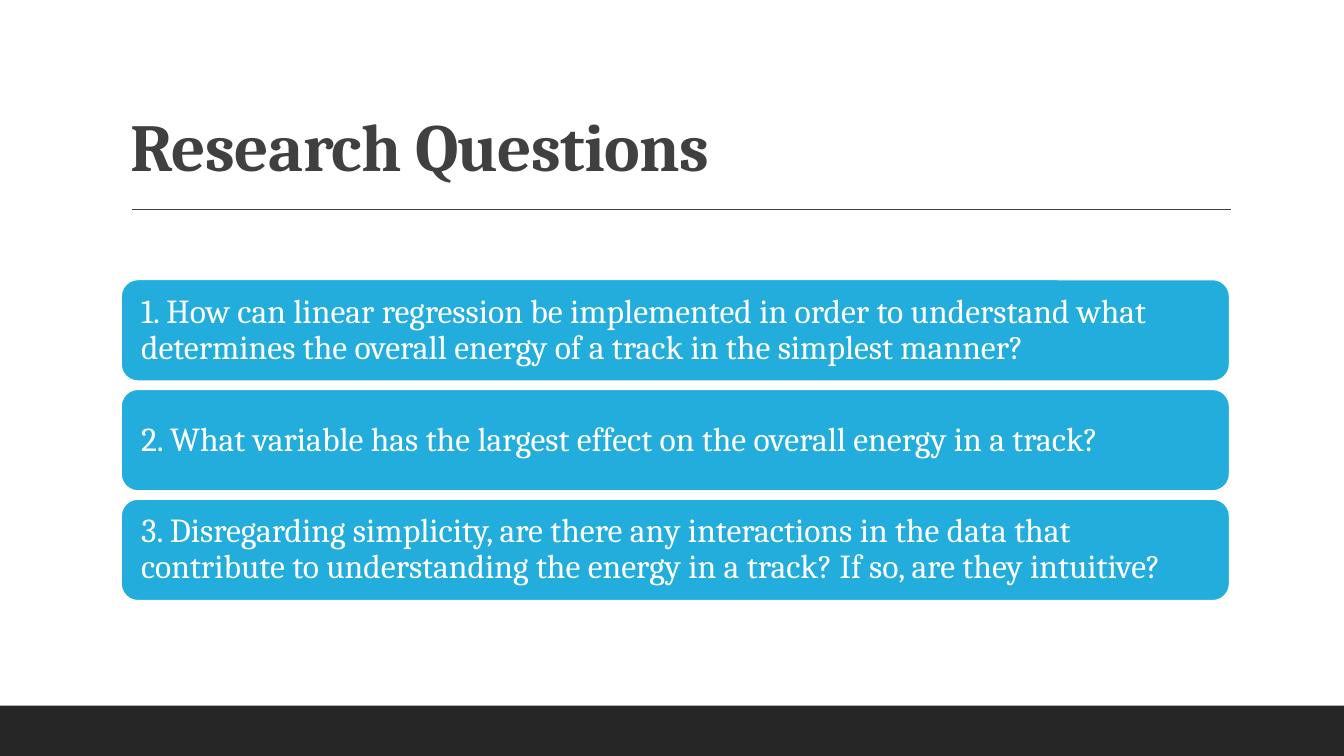
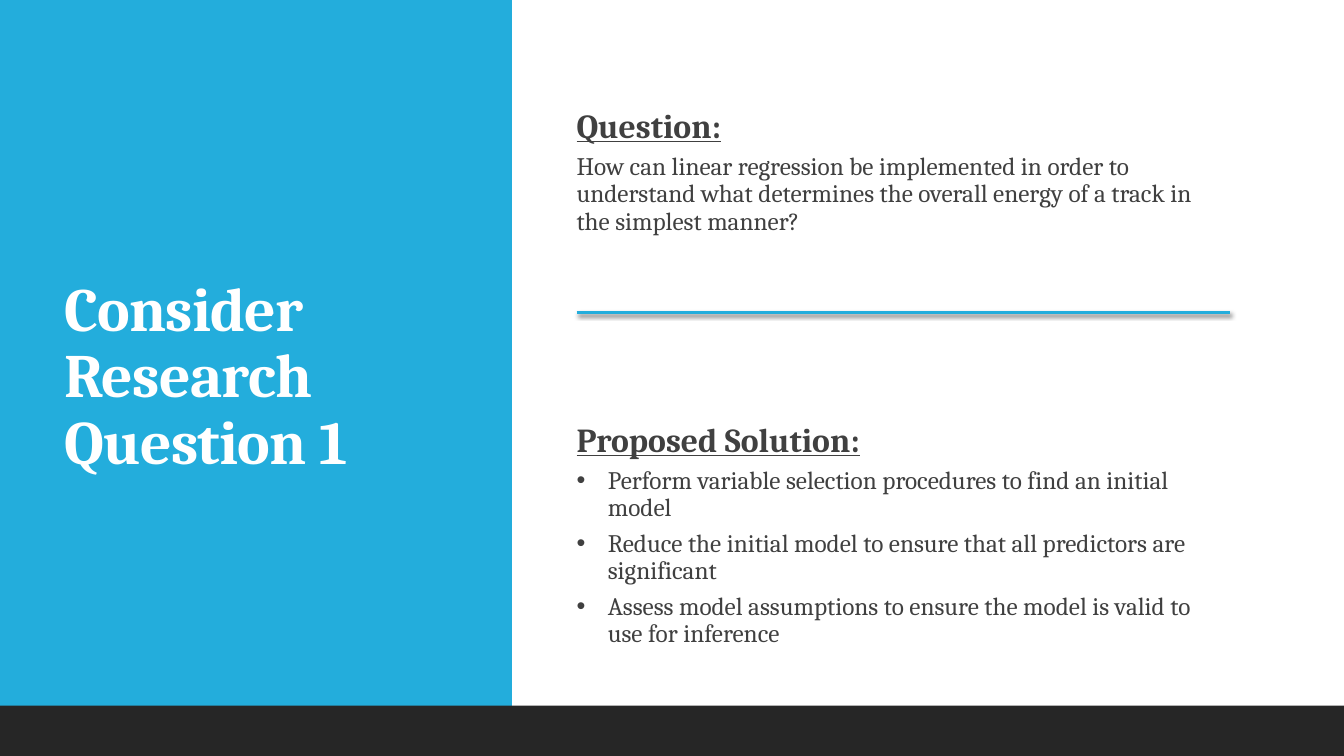
import pptx
import pptx.util
import pptx.dml.color
import pptx.enum.shapes
import pptx.enum.text
import pptx.oxml
import pptx.oxml.ns

Cm = pptx.util.Cm
Pt = pptx.util.Pt
SHAPE = pptx.enum.shapes.MSO_SHAPE
ANCHOR = pptx.enum.text.MSO_ANCHOR
ALIGN = pptx.enum.text.PP_ALIGN

COLORS = {"blue": "23ADDC", "dark": "262626", "text": "404040", "white": "FFFFFF"}
FONT = "Cambria"
WIDE, HIGH = 33.87, 19.05
BAND = 1.27
INDENT = 0.79

FIRST = ("How can linear regression be implemented in order to understand what "
         "determines the overall energy of a track in the simplest manner?")
ASKED = [
    FIRST,
    "What variable has the largest effect on the overall energy in a track?",
    "Disregarding simplicity, are there any interactions in the data that "
    "contribute to understanding the energy in a track? If so, are they intuitive?",
]
STEPS = [
    "Perform variable selection procedures to find an initial model",
    "Reduce the initial model to ensure that all predictors are significant",
    "Assess model assumptions to ensure the model is valid to use for inference",
]


def color(name):
    return pptx.dml.color.RGBColor.from_string(COLORS[name])


def node(tag, **attrs):
    """Make one DrawingML element."""
    item = pptx.oxml.parse_xml(f"<a:{tag} {pptx.oxml.ns.nsdecls('a')}/>")
    for key, value in attrs.items():
        item.set(key, str(value))
    return item


def write(frame, text, size=18, ink="text", bold=False, under=False,
          space=None, after=0, bullet=False):
    """Add one paragraph, filling the empty first one if there is one."""
    para = frame.paragraphs[0]
    if para.runs:
        para = frame.add_paragraph()
    para.alignment = ALIGN.LEFT
    para.line_spacing = 0.9
    para.space_after = Pt(after)
    if bullet:
        props = para._p.get_or_add_pPr()
        props.set("marL", str(Cm(INDENT)))
        props.set("indent", str(-Cm(INDENT)))
        props.append(node("buFont", typeface="Arial"))
        props.append(node("buChar", char="•"))
    run = para.add_run()
    run.text = text
    font = run.font
    font.name, font.size, font.bold = FONT, Pt(size), bold
    font.underline = under
    font.color.rgb = color(ink)
    if space is not None:
        run._r.get_or_add_rPr().set("spc", str(space))


def set_frame(frame, anchor, side=0.25, edge=0.13):
    frame.word_wrap = True
    frame.vertical_anchor = anchor
    frame.margin_left = frame.margin_right = Cm(side)
    frame.margin_top = frame.margin_bottom = Cm(edge)
    return frame


def text_box(slide, box, anchor, side=0.25):
    shape = slide.shapes.add_textbox(*map(Cm, box))
    return set_frame(shape.text_frame, anchor, side)


def panel(slide, box, fill, kind=SHAPE.RECTANGLE, line=None):
    shape = slide.shapes.add_shape(kind, *map(Cm, box))
    shape.shadow.inherit = False
    shape.fill.solid()
    shape.fill.fore_color.rgb = color(fill)
    if line:
        shape.line.color.rgb = color(line)
        shape.line.width = Pt(1.25)
    else:
        shape.line.fill.background()
    return shape


def rule(slide, left, top, width, ink, weight, shadow=False):
    line = slide.shapes.add_connector(
        pptx.enum.shapes.MSO_CONNECTOR.STRAIGHT,
        Cm(left), Cm(top), Cm(left + width), Cm(top))
    line.line.color.rgb = color(ink)
    line.line.width = Pt(weight)
    effects = node("effectLst")
    if shadow:
        cast = node("outerShdw", blurRad=Pt(3), dist=Pt(2), dir=45 * 60000,
                    algn="ctr", rotWithShape=0)
        shade = node("srgbClr", val="000000")
        shade.append(node("alpha", val=60000))
        cast.append(shade)
        effects.append(cast)
    line._element.spPr.append(effects)


def title(slide, box, text, size, ink, anchor):
    frame = text_box(slide, box, anchor)
    write(frame, text, size=size, ink=ink, bold=True, space=-50)


def band(slide):
    panel(slide, (0, HIGH - BAND, WIDE, BAND), "dark")


def cards(slide, box, texts, gap=0.2):
    """Stack numbered cards of equal height in the box."""
    left, top, width, height = box
    step = (height + gap) / len(texts)
    for i, text in enumerate(texts):
        card = panel(slide, (left, top + i * step, width, step - gap), "blue",
                     SHAPE.ROUNDED_RECTANGLE, "white")
        frame = set_frame(card.text_frame, ANCHOR.MIDDLE, 0.38, 0.38)
        write(frame, f"{i + 1}. {text}", size=24, ink="white")


def section(slide, box, head, lines, bullet=False):
    """Place an underlined heading with its lines below."""
    frame = text_box(slide, box, ANCHOR.TOP, side=0)
    write(frame, head, size=24, bold=True, under=True, after=6)
    for line in lines:
        write(frame, line, after=6, bullet=bullet)


def list_slide(slide):
    left, width = 3.05, 27.94
    title(slide, (left, 0.79, width, 4.04), "Research Questions", 48, "text",
          ANCHOR.BOTTOM)
    rule(slide, left + 0.28, 5.28, 27.68, "text", 1)
    band(slide)
    cards(slide, (left, 7.04, width, 8.1), ASKED)


def split_slide(slide):
    left, width = 14.53, 16.46
    panel(slide, (0, 0, 12.9, HIGH), "blue")
    title(slide, (1.37, 1.68, 10.11, 15.67), "Consider Research Question 1", 44,
          "white", ANCHOR.MIDDLE)
    section(slide, (left, 2.62, width, 4), "Question:", [FIRST])
    section(slide, (left, 10.53, width, 6.5), "Proposed Solution:", STEPS, True)
    band(slide)
    rule(slide, left, 7.88, width, "blue", 2, shadow=True)


def main():
    deck = pptx.Presentation()
    deck.slide_width, deck.slide_height = Cm(WIDE), Cm(HIGH)
    for build in (list_slide, split_slide):
        build(deck.slides.add_slide(deck.slide_layouts[6]))
    deck.save("out.pptx")


if __name__ == "__main__":
    main()
